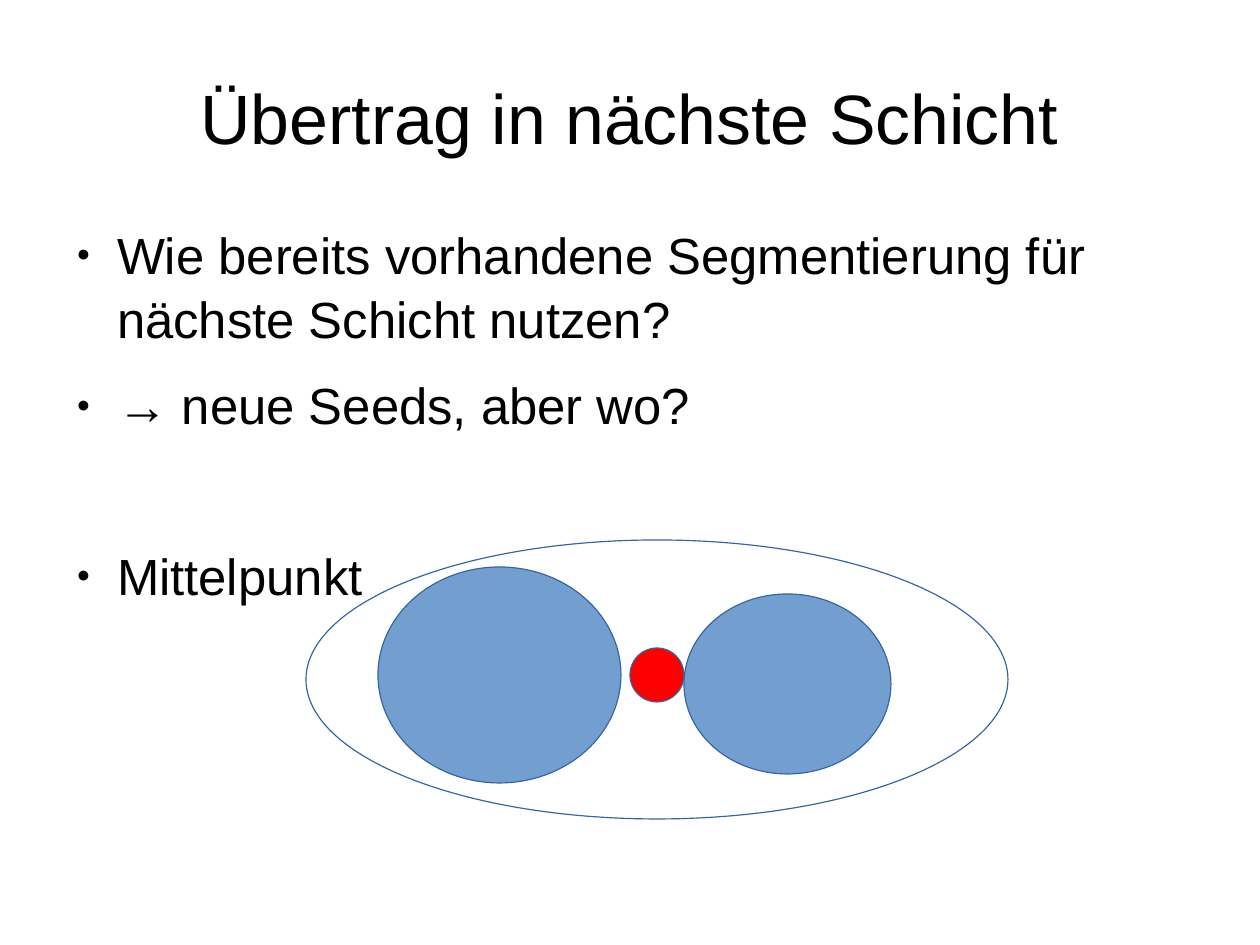
from lxml import etree
from pptx import Presentation
from pptx.dml.color import RGBColor
from pptx.enum.shapes import MSO_SHAPE
from pptx.enum.text import MSO_ANCHOR, MSO_AUTO_SIZE, PP_ALIGN
from pptx.oxml.ns import qn
from pptx.util import Cm, Pt

OVAL = MSO_SHAPE.OVAL
TOP, MIDDLE = MSO_ANCHOR.TOP, MSO_ANCHOR.MIDDLE
LEFT, CENTER = PP_ALIGN.LEFT, PP_ALIGN.CENTER
NO_FIT = MSO_AUTO_SIZE.NONE

COLORS = {"text": "000000", "line": "3465A4", "cell": "729FCF",
          "seed": "FF0000", "hull": "FFFFFF"}


def color(name):
    return RGBColor.from_string(COLORS[name])


def place(holder, left, top, width, height, anchor):
    """Move a placeholder and clear its margins."""
    holder.left, holder.top = Cm(left), Cm(top)
    holder.width, holder.height = Cm(width), Cm(height)
    frame = holder.text_frame
    frame.margin_left = frame.margin_right = 0
    frame.margin_top = frame.margin_bottom = 0
    frame.word_wrap = True
    frame.auto_size = NO_FIT
    frame.vertical_anchor = anchor
    return frame


def style(para, size, align):
    para.alignment = align
    for run in para.runs:
        run.font.name = "Arial"
        run.font.size = Pt(size)
        run.font.color.rgb = color("text")


def bullet(para):
    """Hang a small dot in front of the paragraph."""
    props = para._p.get_or_add_pPr()
    props.set("marL", str(Cm(1.2)))
    props.set("indent", str(-Cm(0.9)))
    tint = etree.SubElement(props, qn("a:buClr"))
    etree.SubElement(tint, qn("a:srgbClr"), val=COLORS["text"])
    etree.SubElement(props, qn("a:buSzPct"), val="45000")
    etree.SubElement(props, qn("a:buChar"), char="●")


def add_list(frame, items):
    frame.text = "\n".join(text for text, gap in items)
    for para, (text, gap) in zip(frame.paragraphs, items):
        style(para, 32, LEFT)
        para.line_spacing = 1.05
        para.space_before = Pt(gap)
        para.space_after = Pt(0)
        bullet(para)


def add_oval(slide, left, top, width, height, fill):
    oval = slide.shapes.add_shape(OVAL, Cm(left), Cm(top), Cm(width), Cm(height))
    oval.shadow.inherit = False
    oval.fill.solid()
    oval.fill.fore_color.rgb = color(fill)
    oval.line.color.rgb = color("line")
    oval.line.width = Pt(0)


def main():
    deck = Presentation()
    deck.slide_width, deck.slide_height = Cm(28), Cm(21)
    slide = deck.slides.add_slide(deck.slide_layouts[1])
    title, body = slide.placeholders

    # Title
    frame = place(title, 1.4, 0.84, 25.2, 3.5, MIDDLE)
    frame.text = "Übertrag in nächste Schicht"
    style(frame.paragraphs[0], 44, CENTER)

    # Questions, with a wider gap before the answer
    add_list(place(body, 1.4, 4.9, 25.2, 12.17, TOP), [
        ("Wie bereits vorhandene Segmentierung für nächste Schicht nutzen?", 14.2),
        ("→ neue Seeds, aber wo?", 14.2),
        ("Mittelpunkt", 67),
    ])

    # Hull around two segments, with the new seed between them
    add_oval(slide, 6.8, 12, 15.6, 6.2, "hull")
    add_oval(slide, 8.4, 12.6, 5.4, 4.8, "cell")
    add_oval(slide, 15.2, 13.2, 4.6, 4, "cell")
    add_oval(slide, 14, 14.4, 1.2, 1.2, "seed")

    deck.save("out.pptx")


if __name__ == "__main__":
    main()
